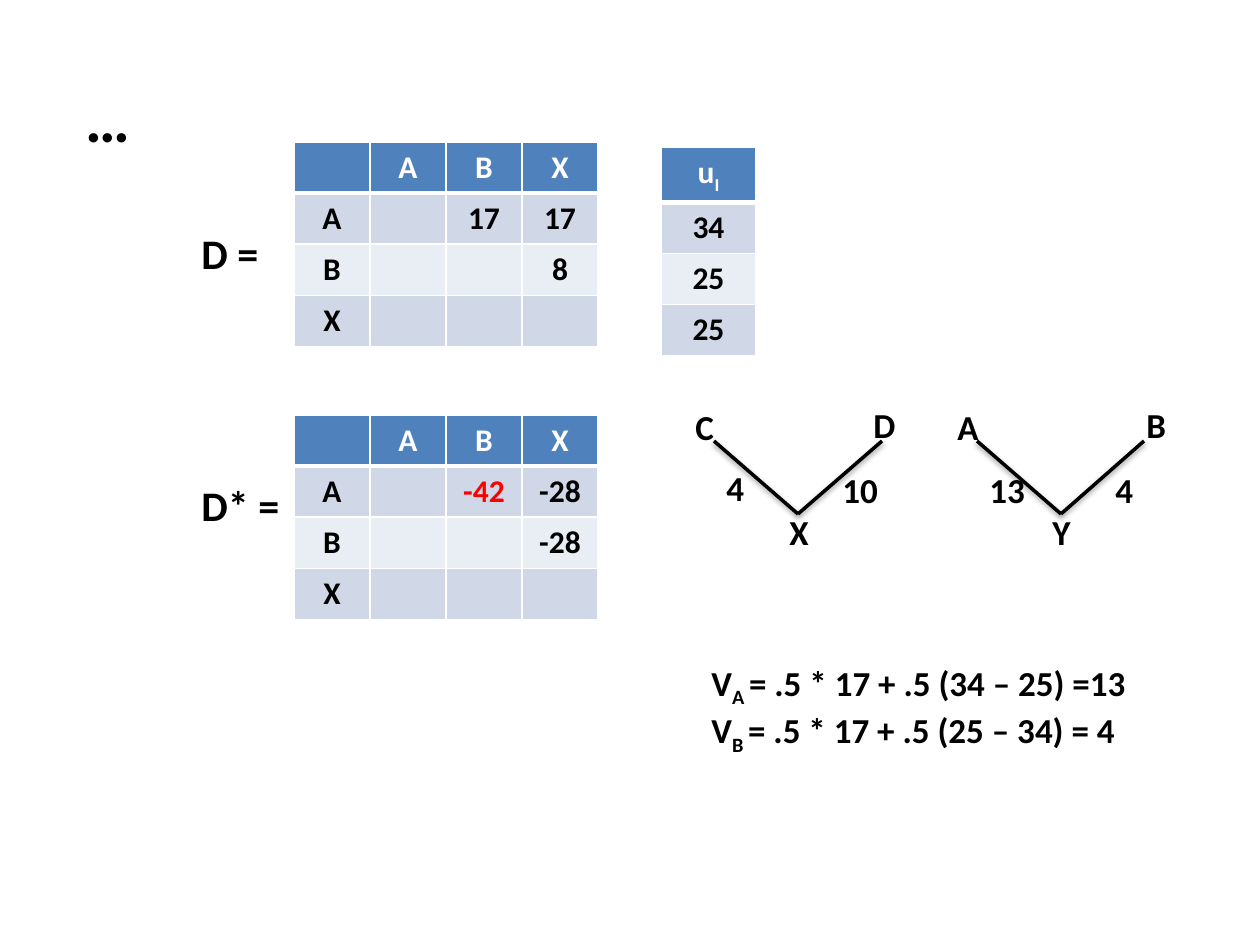
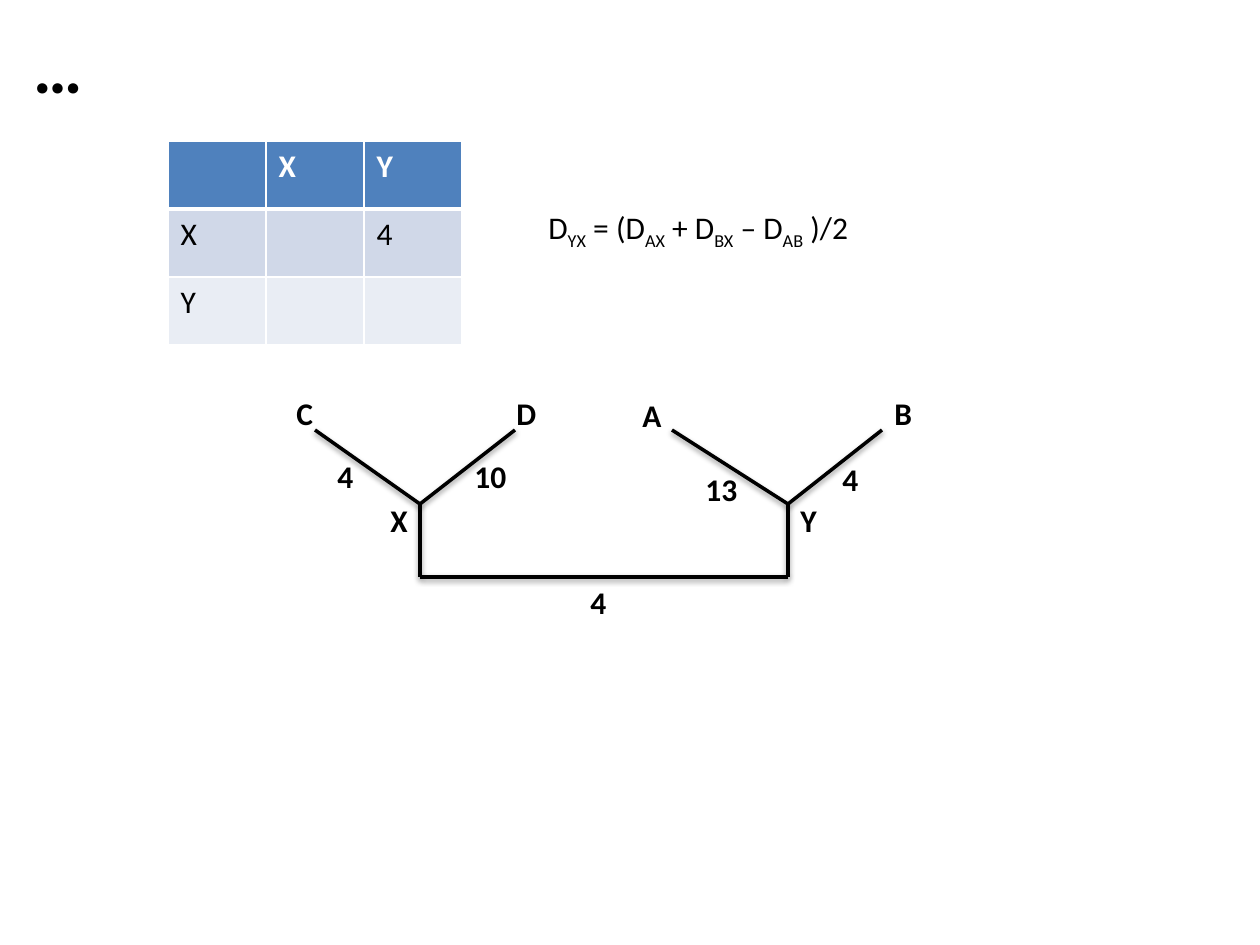
"""Build two slides of a neighbor-joining example: distance tables and trees."""
import lxml.etree
import pptx
import pptx.dml.color
import pptx.enum.shapes
import pptx.enum.text
import pptx.oxml.ns
import pptx.util

THEME = {
    "font": "Calibri", "ink": "000000", "alert": "FF0000", "white": "FFFFFF",
    "header": "4F81BD", "bands": ("D0D8E8", "E9EDF4"),
    "title": 39.6, "dots": 36, "matrix": 24, "large": 20, "body": 18,
    "line": 2, "border": 1, "header_border": 3,
}
SLIDE_W, SLIDE_H = 1260, 945
ALERT_VALUES = {"-42"}

# Text alternates between normal and subscript parts: (normal, sub, normal, ...).
SLIDES = [
    {
        "tables": [
            {"at": (294, 142), "cell": (76, 51), "centred": True, "rows": [
                ["", "A", "B", "X"], ["A", "", "17", "17"],
                ["B", "", "", "8"], ["X", "", "", ""]]},
            {"at": (661, 147), "cell": (95, 51), "centred": True, "rows": [
                [("u", "I")], ["34"], ["25"], ["25"]]},
            {"at": (294, 415), "cell": (76, 51), "centred": True, "rows": [
                ["", "A", "B", "X"], ["A", "", "-42", "-28"],
                ["B", "", "", "-28"], ["X", "", "", ""]]},
        ],
        "texts": [
            {"at": (189, 221, 84, 63), "size": "matrix", "lines": ["D ="]},
            {"at": (189, 473, 105, 63), "size": "matrix", "lines": ["D* ="]},
            {"at": (462, 655, 766, 127), "size": "large", "indent": 237, "lines": [
                ("V", "A ", "= .5 * 17 + .5 (34 – 25) =13"),
                ("V", "B ", "= .5 * 17 + .5 (25 – 34) = 4")]},
            {"at": (73, 73, 116, 89), "size": "dots", "lines": ["…"]},
        ],
        "branches": [
            [(714, 441), (798, 514), (882, 441)],
            [(977, 441), (1061, 514), (1144, 441)],
        ],
        "label_style": ("large", 63, 55),
        "labels": [
            ("C", 683, 399), ("D", 861, 397), ("A", 945, 399), ("B", 1134, 397),
            ("4", 714, 460), ("10", 830, 462), ("13", 977, 462), ("4", 1103, 462),
            ("Y", 1040, 504), ("X", 777, 504)],
    },
    {
        "tables": [
            {"at": (168, 141), "cell": (98, 68), "centred": False, "rows": [
                ["", "X", "Y"], ["X", "", "4"], ["Y", "", ""]]},
        ],
        "texts": [
            {"at": (21, 42, 1134, 47), "size": "title", "middle": True, "lines": ["…"]},
            {"at": (536, 202, 441, 50), "size": "body", "bold": False, "lines": [
                ("D", "YX", " = (D", "AX", " + D", "BX", " – D", "AB", " )/2")]},
        ],
        "branches": [
            [(315, 430), (420, 504), (515, 430)],
            [(672, 430), (788, 504), (882, 430)],
            [(420, 504), (420, 577), (788, 577), (788, 504)],
        ],
        "label_style": ("body", 63, 50),
        "labels": [
            ("C", 284, 388), ("D", 504, 388), ("A", 630, 390), ("B", 882, 388),
            ("4", 830, 454), ("Y", 788, 495), ("13", 693, 464), ("10", 462, 451),
            ("4", 325, 451), ("X", 378, 495), ("4", 578, 577)],
    },
]


def px(n):
    return round(n * 914400 / 126)


def rgb(color):
    return pptx.dml.color.RGBColor.from_string(color)


def add_node(parent, tag, **attrs):
    node = lxml.etree.SubElement(parent, pptx.oxml.ns.qn(tag))
    for name, value in attrs.items():
        node.set(name, str(value))
    return node


def add_color(parent, color):
    return add_node(parent, "a:srgbClr", val=color)


def write_runs(p, parts, size, color, bold):
    if isinstance(parts, str):
        parts = (parts,)
    for i, part in enumerate(parts):
        r = p.add_run()
        r.text = part
        r.font.name = THEME["font"]
        r.font.size = pptx.util.Pt(THEME[size])
        r.font.bold = bold
        r.font.color.rgb = rgb(color)
        if i % 2:
            r.font._element.set("baseline", "-25000")


def add_text(s, at, size, lines, bold=True, indent=0, middle=False):
    tf = s.shapes.add_textbox(*map(px, at)).text_frame
    tf.word_wrap = True
    if middle:
        tf.vertical_anchor = pptx.enum.text.MSO_ANCHOR.MIDDLE
    for i, line in enumerate(lines):
        p = tf.paragraphs[0] if i == 0 else tf.add_paragraph()
        if indent:
            p._p.get_or_add_pPr().set("marL", str(px(indent)))
        write_runs(p, line, size, THEME["ink"], bold)


def style_cell(cell, row):
    tc_pr = cell._tc.get_or_add_tcPr()
    thick = {0: "B", 1: "T"}.get(row)
    for side in "LRTB":
        width = THEME["header_border" if side == thick else "border"]
        ln = add_node(tc_pr, "a:ln" + side, w=pptx.util.Pt(width))
        add_color(add_node(ln, "a:solidFill"), THEME["white"])
    cell.fill.solid()
    cell.fill.fore_color.rgb = rgb(THEME["bands"][(row - 1) % 2] if row else THEME["header"])


def add_table(s, at, cell, centred, rows):
    (x, y), (w, h) = at, cell
    n_rows, n_cols = len(rows), len(rows[0])
    table = s.shapes.add_table(
        n_rows, n_cols, px(x), px(y), px(w * n_cols), px(h * n_rows)).table
    for col in table.columns:
        col.width = px(w)
    for i, values in enumerate(rows):
        table.rows[i].height = px(h)
        for j, value in enumerate(values):
            c = table.cell(i, j)
            style_cell(c, i)
            if not value:
                continue
            p = c.text_frame.paragraphs[0]
            if centred:
                p.alignment = pptx.enum.text.PP_ALIGN.CENTER
            color = THEME["white" if i == 0 else "alert" if value in ALERT_VALUES else "ink"]
            write_runs(p, value, "body", color, centred or i == 0)


def add_branch(s, start, end):
    line = s.shapes.add_connector(
        pptx.enum.shapes.MSO_CONNECTOR.STRAIGHT, *map(px, start + end))
    line.line.color.rgb = rgb(THEME["ink"])
    line.line.width = pptx.util.Pt(THEME["line"])
    effects = add_node(line._element.spPr, "a:effectLst")
    shadow = add_node(effects, "a:outerShdw", blurRad=40000, dist=20000,
                      dir=5400000, rotWithShape=0)
    add_node(add_color(shadow, THEME["ink"]), "a:alpha", val=38000)


def build_slide(prs, content):
    s = prs.slides.add_slide(prs.slide_layouts[6])
    for table in content["tables"]:
        add_table(s, **table)
    for text in content["texts"]:
        add_text(s, **text)
    for points in content["branches"]:
        for start, end in zip(points, points[1:]):
            add_branch(s, start, end)
    size, w, h = content["label_style"]
    for label, x, y in content["labels"]:
        add_text(s, (x, y, w, h), size, [label])


def main():
    prs = pptx.Presentation()
    prs.slide_width, prs.slide_height = px(SLIDE_W), px(SLIDE_H)
    for content in SLIDES:
        build_slide(prs, content)
    prs.save("out.pptx")


if __name__ == "__main__":
    main()
